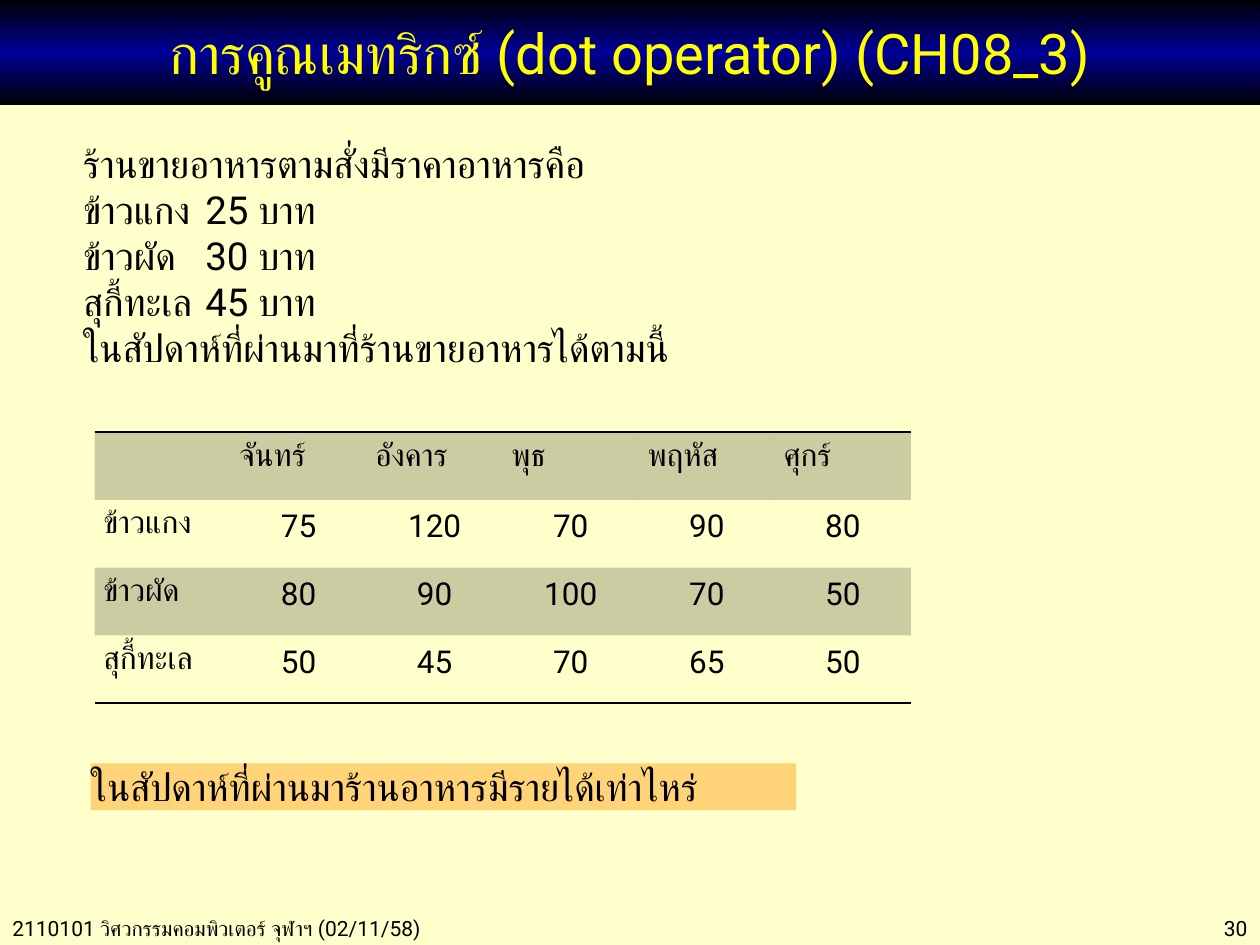
import pptx
import pptx.dml.color
import pptx.enum.shapes
import pptx.enum.text
import pptx.oxml
import pptx.oxml.ns
import pptx.util
from pptx.util import Inches

RGBColor = pptx.dml.color.RGBColor
ALIGN = pptx.enum.text.PP_ALIGN
ANCHOR = pptx.enum.text.MSO_ANCHOR

CREAM = RGBColor(0xFF, 0xFF, 0xCC)
BLACK = RGBColor(0, 0, 0)
NAVY = RGBColor(0, 0, 0x99)
YELLOW = RGBColor(0xFF, 0xFF, 0)
ORANGE = RGBColor(0xFF, 0xD4, 0x79)

FONT = "Roboto"
PLAIN_TABLE_STYLE = "{2D5ABB26-0587-4C30-8999-92F81FD0307C}"
PRICE_TAB = Inches(0.97)

PRICES = [
    "ร้านขายอาหารตามสั่งมีราคาอาหารคือ",
    "ข้าวแกง\t25 บาท",
    "ข้าวผัด\t30 บาท",
    "สุกี้ทะเล\t45 บาท",
    "ในสัปดาห์ที่ผ่านมาที่ร้านขายอาหารได้ตามนี้",
]
SALES = [
    ["", "จันทร์", "อังคาร", "พุธ", "พฤหัส", "ศุกร์"],
    ["ข้าวแกง", 75, 120, 70, 90, 80],
    ["ข้าวผัด", 80, 90, 100, 70, 50],
    ["สุกี้ทะเล", 50, 45, 70, 65, 50],
]


def xml(text):
    return pptx.oxml.parse_xml(text.replace(">", f" {pptx.oxml.ns.nsdecls('a')}>", 1))


def write_lines(frame, lines, size, color=BLACK, align=ALIGN.LEFT):
    for index, line in enumerate(lines):
        para = frame.paragraphs[0] if index == 0 else frame.add_paragraph()
        para.alignment = align
        if "\t" in line:
            para._p.get_or_add_pPr().append(
                xml(f'<a:tabLst><a:tab pos="{PRICE_TAB}" algn="l"/></a:tabLst>'))
        span = para.add_run()
        span.text = line
        style = {"name": FONT, "size": pptx.util.Pt(size)}
        for key, value in style.items():
            setattr(span.font, key, value)
        span.font.color.rgb = color


def set_frame(frame, inset_x, inset_y, anchor=ANCHOR.TOP):
    layout = {
        "margin_left": Inches(inset_x), "margin_right": Inches(inset_x),
        "margin_top": Inches(inset_y), "margin_bottom": Inches(inset_y),
        "vertical_anchor": anchor, "word_wrap": True,
        "auto_size": pptx.enum.text.MSO_AUTO_SIZE.NONE,
    }
    for key, value in layout.items():
        setattr(frame, key, value)


def add_title(page, text):
    title = page.shapes.title
    title.left, title.top = Inches(0), Inches(0)
    title.width, title.height = Inches(10), Inches(0.83)
    stops = "".join(
        f'<a:gs pos="{place}"><a:srgbClr val="{color}"/></a:gs>'
        for place, color in [(0, BLACK), (50000, NAVY), (100000, BLACK)])
    title._element.spPr.append(xml(
        f'<a:gradFill><a:gsLst>{stops}</a:gsLst><a:lin ang="5400000" scaled="0"/></a:gradFill>'))
    set_frame(title.text_frame, 0.1, 0.05, ANCHOR.MIDDLE)
    write_lines(title.text_frame, [text], 32, YELLOW, ALIGN.CENTER)


def add_text(page, place, lines, size, inset_x=0.1, align=ALIGN.LEFT):
    box = page.shapes.add_textbox(*map(Inches, place))
    set_frame(box.text_frame, inset_x, 0.05)
    write_lines(box.text_frame, lines, size, align=align)


def add_question(page, place, text):
    box = page.shapes.add_shape(pptx.enum.shapes.MSO_SHAPE.RECTANGLE, *map(Inches, place))
    box.shadow.inherit = False
    box.fill.solid()
    box.fill.fore_color.rgb = ORANGE
    box.line.fill.background()
    set_frame(box.text_frame, 0, 0)
    write_lines(box.text_frame, [text], 22)


def add_border(cell, side):
    cell._tc.get_or_add_tcPr().insert(0, xml(
        f'<a:ln{side} w="12700"><a:solidFill><a:srgbClr val="{BLACK}"/></a:solidFill></a:ln{side}>'))


def shade(cell, banded):
    if not banded:
        cell.fill.background()
        return
    cell.fill.solid()
    cell.fill.fore_color.rgb = BLACK
    color = cell._tc.tcPr.find(".//" + pptx.oxml.ns.qn("a:srgbClr"))
    color.append(xml('<a:alpha val="20000"></a:alpha>'))


def add_sales_table(page, place, rows):
    last = len(rows) - 1
    table = page.shapes.add_table(len(rows), len(rows[0]), *map(Inches, place)).table
    table.first_row = table.horz_banding = False
    table._tbl.tblPr.find(pptx.oxml.ns.qn("a:tableStyleId")).text = PLAIN_TABLE_STYLE
    for row, values in enumerate(rows):
        for column, value in enumerate(values):
            cell = table.cell(row, column)
            for side in ("left", "right", "top", "bottom"):
                setattr(cell, f"margin_{side}", Inches(0.07))
            shade(cell, row % 2 == 0)
            if row == 0:
                add_border(cell, "T")
            if row == last:
                add_border(cell, "B")
            if value != "":
                align = ALIGN.CENTER if isinstance(value, int) else ALIGN.LEFT
                write_lines(cell.text_frame, [str(value)], 18, align=align)


def main():
    deck = pptx.Presentation()
    deck.slide_width, deck.slide_height = Inches(10), Inches(7.5)
    page = deck.slides.add_slide(deck.slide_layouts[5])
    page.background.fill.solid()
    page.background.fill.fore_color.rgb = CREAM

    # Heading and prices
    add_title(page, "การคูณเมทริกซ์ (dot operator) (CH08_3)")
    add_text(page, (0.61, 1.06, 5.53, 1.95), PRICES, 22, inset_x=0.05)

    # Weekly sales and the question about them
    add_sales_table(page, (0.75, 3.43, 6.48, 2.15), SALES)
    add_question(page, (0.72, 6.06, 5.6, 0.37), "ในสัปดาห์ที่ผ่านมาร้านอาหารมีรายได้เท่าไหร่")

    # Footer
    add_text(page, (0, 7.22, 3.9, 0.3), ["2110101 วิศวกรรมคอมพิวเตอร์ จุฬาฯ (02/11/58)"], 12)
    add_text(page, (8.62, 7.22, 1.38, 0.3), ["30"], 12, align=ALIGN.RIGHT)

    deck.save("out.pptx")


if __name__ == "__main__":
    main()
